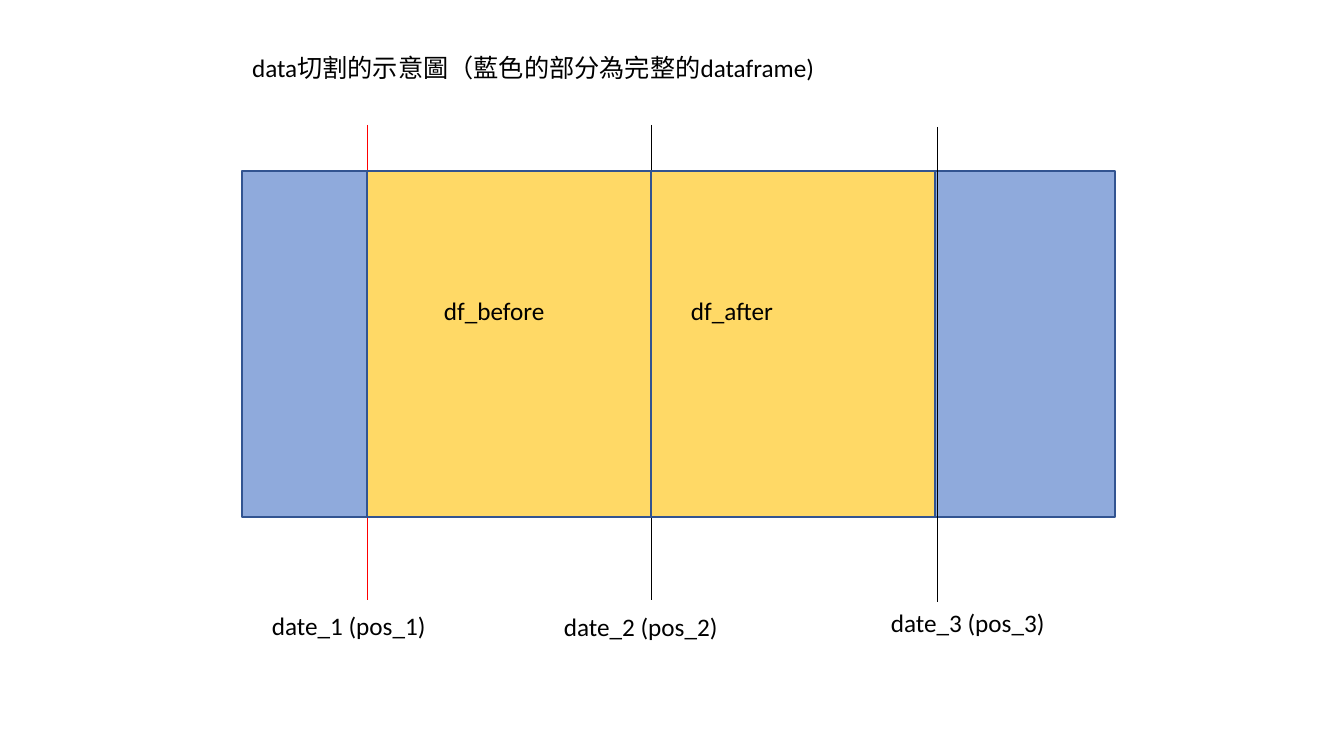
from dataclasses import dataclass

from lxml.etree import SubElement
from pptx import Presentation
from pptx.dml.color import RGBColor as Rgb
from pptx.enum.shapes import MSO_CONNECTOR as Conn, MSO_SHAPE as Form
from pptx.enum.text import MSO_ANCHOR as Anchor, MSO_AUTO_SIZE as Auto, PP_ALIGN as Align
from pptx.oxml.ns import qn
from pptx.util import Emu, Pt

SCALE = 914400 / 100.8


@dataclass(frozen=True)
class Theme:
    font: str = "Calibri"
    size: int = 18
    ink: str = "000000"
    whole: str = "8FAADC"
    half: str = "FFD966"
    edge: str = "325491"
    mark: str = "FF0000"
    edge_pt: float = 1
    mark_pt: float = 0.5


@dataclass(frozen=True)
class Band:
    left: int
    width: int
    fill: str


@dataclass(frozen=True)
class Mark:
    x: int
    top: int
    color: str


@dataclass(frozen=True)
class Label:
    left: int
    top: int
    width: int
    text: str


def px(num: int) -> Emu:
    return Emu(round(num * SCALE))


theme = Theme()
TOP, HIGH = 171, 346
LEFT, HALF = 367, 284
MID = LEFT + HALF
DROP, ROW = 475, 40

# Slide
deck = Presentation()
deck.slide_width, deck.slide_height = px(1344), px(756)
slide = deck.slides.add_slide(deck.slide_layouts[5])
shapes = slide.shapes


def draw_band(band: Band) -> None:
    box = shapes.add_shape(Form.RECTANGLE, px(band.left), px(TOP), px(band.width), px(HIGH))
    box.shadow.inherit = False
    box.fill.solid()
    box.fill.fore_color.rgb = Rgb.from_string(band.fill)
    box.line.color.rgb = Rgb.from_string(theme.edge)
    box.line.width = Pt(theme.edge_pt)


def draw_mark(mark: Mark) -> None:
    line = shapes.add_connector(
        Conn.STRAIGHT, px(mark.x), px(mark.top), px(mark.x), px(mark.top + DROP))
    line.line.color.rgb = Rgb.from_string(mark.color)
    line.line.width = Pt(theme.mark_pt)
    SubElement(line._element.spPr, qn("a:effectLst"))


def write(frame, text: str) -> None:
    frame.word_wrap = True
    frame.auto_size = Auto.SHAPE_TO_FIT_TEXT
    frame.vertical_anchor = Anchor.TOP
    para = frame.paragraphs[0]
    para.alignment = Align.LEFT
    run = para.add_run()
    run.text = text
    run.font.name = theme.font
    run.font.size = Pt(theme.size)
    run.font.color.rgb = Rgb.from_string(theme.ink)


def draw_label(label: Label) -> None:
    box = shapes.add_textbox(px(label.left), px(label.top), px(label.width), px(ROW))
    write(box.text_frame, label.text)


# Title
title = shapes.title
title.left, title.top, title.width, title.height = px(242), px(47), px(1101), px(ROW)
write(title.text_frame, "data切割的示意圖（藍色的部分為完整的dataframe)")

# Whole frame, date marks, then the two halves on top
draw_band(Band(242, 873, theme.whole))
for mark in (
    Mark(LEFT, 125, theme.mark),
    Mark(MID, 125, theme.ink),
    Mark(937, 127, theme.ink),
):
    draw_mark(mark)
for left in (LEFT, MID):
    draw_band(Band(left, HALF, theme.half))

# Labels
for label in (
    Label(262, 605, 193, "date_1 (pos_1)"),
    Label(554, 606, 193, "date_2 (pos_2)"),
    Label(881, 602, 193, "date_3 (pos_3)"),
    Label(434, 290, 178, "df_before"),
    Label(681, 290, 178, "df_after"),
):
    draw_label(label)

deck.save("out.pptx")
